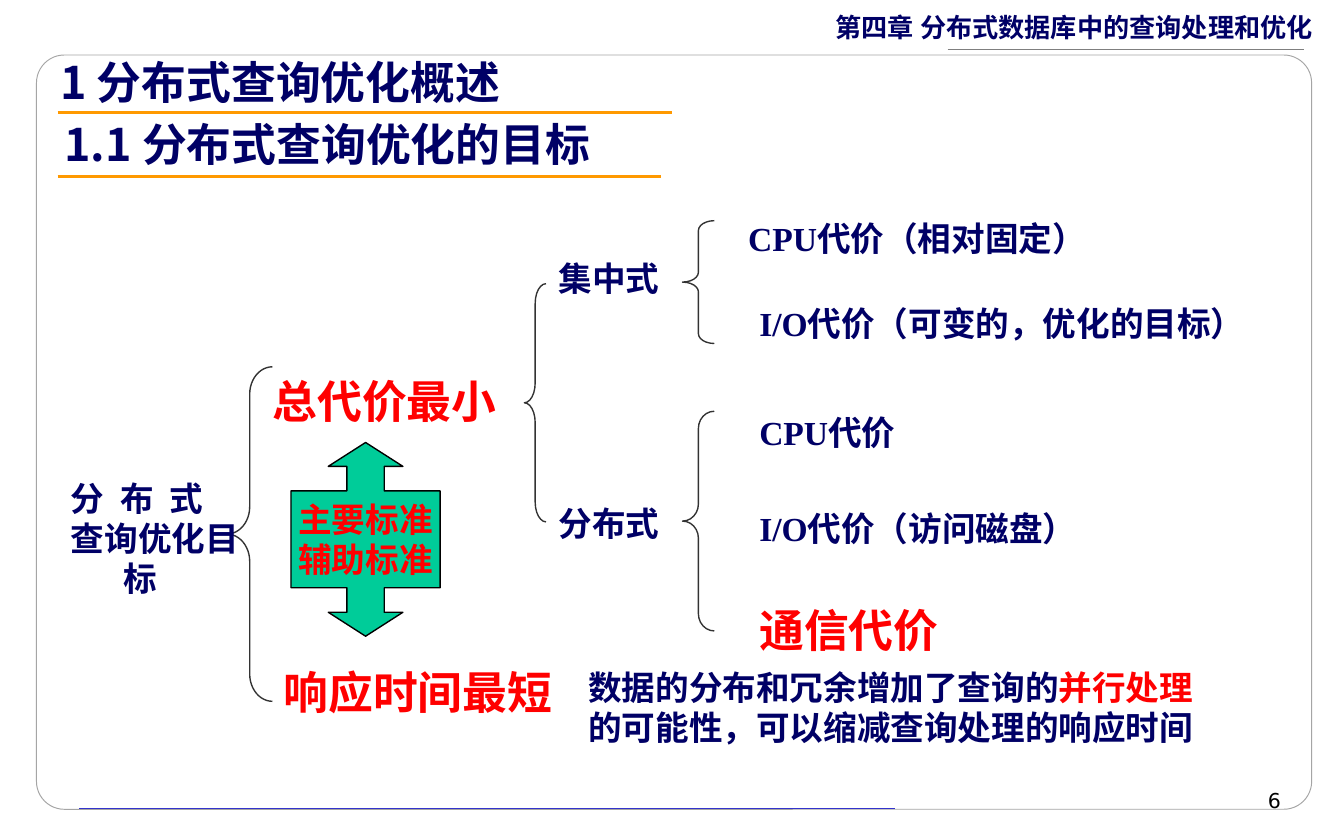
from pptx import Presentation
from pptx.dml.color import RGBColor
from pptx.enum.shapes import MSO_CONNECTOR, MSO_SHAPE
from pptx.enum.text import MSO_ANCHOR, PP_ALIGN
from pptx.oxml.ns import qn
from pptx.util import Cm, Pt
from lxml import etree

NAVY = RGBColor(0x00, 0x00, 0x66)
RED = RGBColor(0xFF, 0x00, 0x00)
ORANGE = RGBColor(0xFF, 0x99, 0x00)
GREEN = RGBColor(0x00, 0xCC, 0x99)
BLUE = RGBColor(0x33, 0x33, 0xCC)
DARK_GREY = RGBColor(0x33, 0x33, 0x33)
MID_GREY = RGBColor(0x7F, 0x7F, 0x7F)
LIGHT_GREY = RGBColor(0xA5, 0xA5, 0xA5)
WHITE = RGBColor(0xFF, 0xFF, 0xFF)
BLACK = RGBColor(0x00, 0x00, 0x00)
SERIF = "Times New Roman"
CJK = "Noto Sans CJK SC"

prs = Presentation()
prs.slide_width, prs.slide_height = Cm(25.4), Cm(15.85)
slide = prs.slides.add_slide(prs.slide_layouts[6])
shapes = slide.shapes


def write(text, box=None, shape=None, size=18, color=NAVY, font=SERIF, bold=True,
          align=PP_ALIGN.LEFT, wrap=True, highlight=""):
    """Write text into a shape, or a new box (left, top, width, height in cm);
    the highlight phrase turns red. Returns the text frame."""
    holder = shape or shapes.add_textbox(*map(Cm, box))
    frame = holder.text_frame
    frame.word_wrap = wrap
    frame.margin_left = frame.margin_right = Cm(0.25)
    frame.margin_top = frame.margin_bottom = Cm(0.13)
    for number, line in enumerate(text.split("\n")):
        paragraph = frame.add_paragraph() if number else frame.paragraphs[0]
        paragraph.alignment = align
        paragraph.line_spacing = Pt(size * 1.2)
        pieces = line.partition(highlight) if highlight else (line,)
        for piece in pieces:
            run = paragraph.add_run()
            run.text = piece
            run.font.size, run.font.bold, run.font.name = Pt(size), bold, font
            run.font.color.rgb = RED if piece == highlight else color
            etree.SubElement(run.font._element, qn("a:ea")).set("typeface", CJK)
    return frame


def rule(left, right, y, color, width):
    line = shapes.add_connector(MSO_CONNECTOR.STRAIGHT, Cm(left), Cm(y), Cm(right), Cm(y))
    line.line.color.rgb = color
    line.line.width = Pt(width)
    etree.SubElement(line._element.spPr, qn("a:effectLst"))


# Page frame, chapter header and page number
frame = shapes.add_shape(MSO_SHAPE.ROUNDED_RECTANGLE, Cm(0.69), Cm(1.04), Cm(24.1), Cm(14.25))
frame.adjustments[0] = 0.037
frame.shadow.inherit = False
frame.fill.solid()
frame.fill.fore_color.rgb = WHITE
frame.line.color.rgb = LIGHT_GREY
frame.line.width = Pt(0.5)
rule(1.5, 16.92, 15.27, BLUE, 0.25)
write("第四章 分布式数据库中的查询处理和优化", (15.24, 0.08, 9.83, 0.84),
      size=14, font=CJK, align=PP_ALIGN.RIGHT)
rule(17.91, 24.64, 0.94, MID_GREY, 0.75)
write("6", (18.11, 14.76, 6.35, 0.71), size=11, color=BLACK, font="DejaVu Sans",
      bold=False, align=PP_ALIGN.RIGHT)

# Headings with their underlines
for heading, left, top, line_end, line_y in [
    ("1 分布式查询优化概述", 0.89, 0.91, 12.7, 2.13),
    ("1.1 分布式查询优化的目标", 0.97, 2.08, 12.5, 3.33),
]:
    write(heading, (left, top, 12.7, 1.27), size=24, font=CJK)
    rule(1.09, line_end, line_y, ORANGE, 1.5)

# Braces of the tree: left, top, width, height, curl
for left, top, width, height, curl in [
    (4.29, 6.93, 0.86, 6.32, 0.6),
    (9.91, 5.36, 0.41, 4.5, 0.92),
    (12.9, 4.17, 0.6, 2.32, 0.31),
    (12.9, 7.77, 0.6, 4.15, 0.54),
]:
    brace = shapes.add_shape(MSO_SHAPE.LEFT_BRACE, Cm(left), Cm(top), Cm(width), Cm(height))
    brace.adjustments[0] = curl
    brace.shadow.inherit = False
    brace.fill.background()
    brace.line.color.rgb = DARK_GREY
    brace.line.width = Pt(0.75)

# Root of the tree, with spread first line and indented last line
root = write("分 布 式\n查询优化目\n标", (1.09, 8.89, 3.71, 2.54), wrap=False)
for run in root.paragraphs[0].runs:
    run.font._element.set("spc", "225")
root.paragraphs[2]._p.get_or_add_pPr().set("marL", str(Cm(1)))

# Goals and the key cost
for goal, left, top, width in [
    ("总代价最小", 4.9, 6.93, 5.21),
    ("响应时间最短", 5.11, 12.42, 5.87),
    ("通信代价", 14.1, 11.25, 8.41),
]:
    write(goal, (left, top, width, 1.27), size=24, color=RED)

# System types and their costs
for label, left, top, width in [
    ("集中式", 10.31, 4.75, 8.2),
    ("分布式", 10.31, 9.37, 3.99),
    ("CPU代价（相对固定）", 13.89, 3.99, 7.59),
    ("I/O代价（可变的，优化的目标）", 14.1, 5.59, 10.21),
    ("CPU代价", 14.1, 7.65, 6.4),
    ("I/O代价（访问磁盘）", 14.1, 9.47, 8.41),
]:
    write(label, (left, top, width, 1.02))

write("数据的分布和冗余增加了查询的并行处理的可能性，可以缩减查询处理的响应时间",
      (10.87, 12.47, 12.4, 1.78), highlight="并行处理")

# Double arrow between the two goals
criteria = shapes.add_shape(MSO_SHAPE.UP_DOWN_ARROW_CALLOUT, Cm(5.5), Cm(8.36), Cm(2.82), Cm(3.66))
for index, ratio in enumerate([0.25, 0.25, 0.16, 0.5]):
    criteria.adjustments[index] = ratio
criteria.shadow.inherit = False
criteria.fill.solid()
criteria.fill.fore_color.rgb = GREEN
criteria.line.color.rgb = BLACK
criteria.line.width = Pt(0.75)
write("主要标准\n辅助标准", shape=criteria, color=RED, align=PP_ALIGN.CENTER, wrap=False)
criteria.text_frame.vertical_anchor = MSO_ANCHOR.MIDDLE

prs.save("out.pptx")
